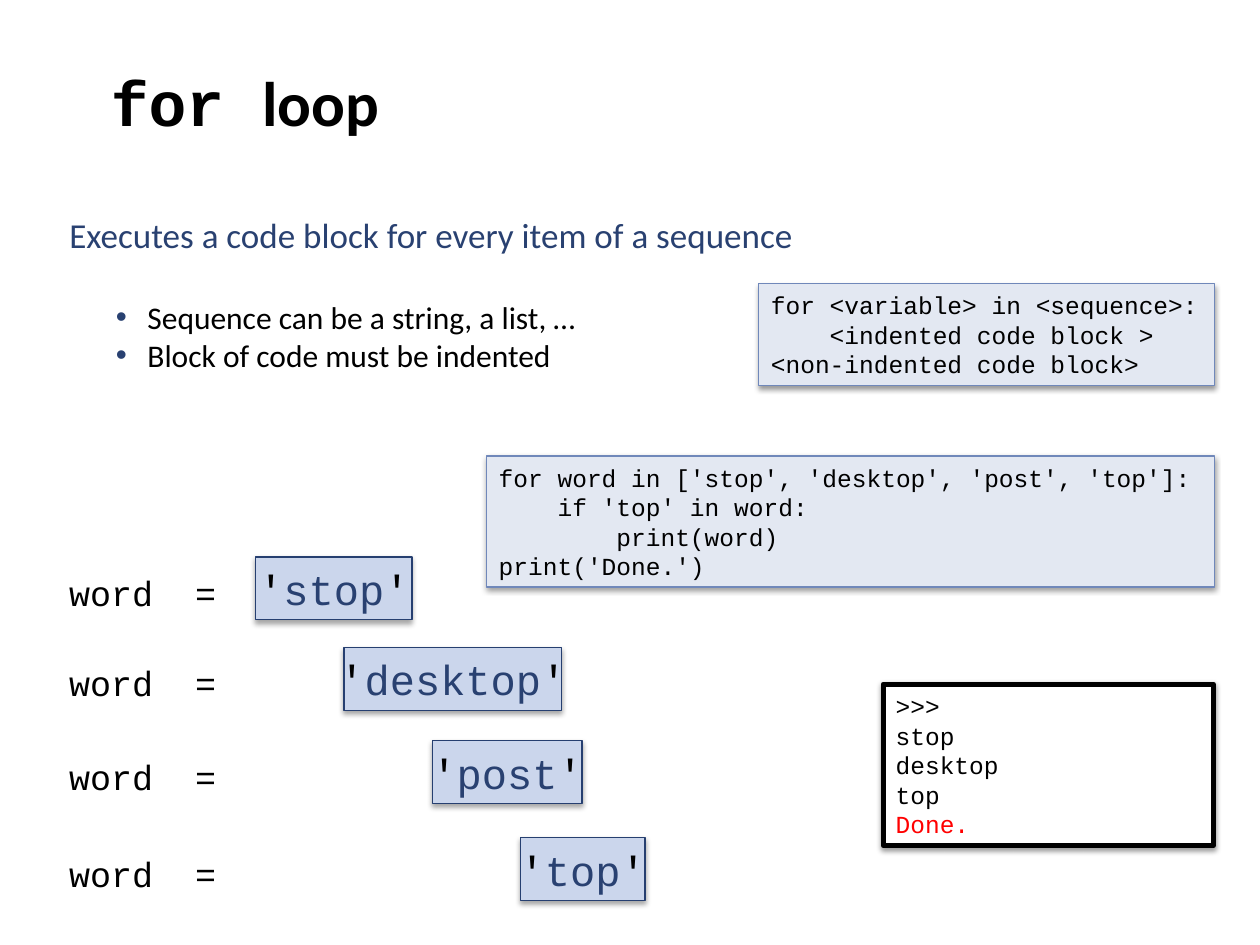
from lxml.etree import SubElement
from pptx import Presentation
from pptx.dml.color import RGBColor
from pptx.enum.shapes import MSO_SHAPE
from pptx.enum.text import MSO_ANCHOR, MSO_AUTO_SIZE, PP_ALIGN
from pptx.oxml.ns import qn
from pptx.util import Inches, Pt

COLORS = {
    "black": "000000", "white": "FFFFFF", "red": "FF0000", "navy": "294171",
    "item_fill": "CBD6EC", "item_line": "263F70",
    "code_fill": "E3E8F2", "code_line": "7088BA",
}
CODE_FONT, TEXT_FONT = "Courier New", "Calibri"
FRAME = {"word_wrap": True, "auto_size": MSO_AUTO_SIZE.NONE,
         "vertical_anchor": MSO_ANCHOR.MIDDLE}
FLUSH = {"space_before": Pt(0), "space_after": Pt(0)}


def rgb(name):
    return RGBColor.from_string(COLORS[name])


def set_all(target, values):
    for name, value in values.items():
        setattr(target, name, value)


def place(part, box):
    set_all(part, dict(zip(("left", "top", "width", "height"), map(Inches, box))))


def write(paragraph, text, size, font=CODE_FONT, color="black", bold=False):
    run = paragraph.add_run()
    run.text = text
    set_all(run.font, {"size": Pt(size), "name": font, "bold": bold})
    run.font.color.rgb = rgb(color)


def add_lines(frame, lines, size):
    """Write one paragraph per line; a line is a list of (text, colour)."""
    for i, line in enumerate(lines):
        paragraph = frame.add_paragraph() if i else frame.paragraphs[0]
        paragraph.alignment = PP_ALIGN.LEFT
        for text, color in line:
            write(paragraph, text, size, color=color)


def add_shadow(shape, opacity, distance):
    shape.shadow.inherit = False
    effects = shape.element.spPr.find(qn("a:effectLst"))
    shadow = SubElement(effects, qn("a:outerShdw"), blurRad=str(Pt(3.1)),
                        dist=str(Pt(distance)), dir="5400000", rotWithShape="0")
    shade = SubElement(shadow, qn("a:srgbClr"), val=COLORS["black"])
    SubElement(shade, qn("a:alpha"), val=str(opacity * 1000))


def add_panel(slide, box, lines, fill, line, line_width=0.75, size=14,
              wrap=True, shadow=(38, 1.6)):
    panel = slide.shapes.add_shape(MSO_SHAPE.RECTANGLE, *map(Inches, box))
    panel.fill.solid()
    panel.fill.fore_color.rgb = rgb(fill)
    panel.line.color.rgb = rgb(line)
    panel.line.width = Pt(line_width)
    add_shadow(panel, *shadow)
    set_all(panel.text_frame, {**FRAME, "word_wrap": wrap})
    add_lines(panel.text_frame, lines, size)
    return panel


def add_code(slide, box, code, wrap=True):
    lines = [[(line, "black")] for line in code]
    add_panel(slide, box, lines, "code_fill", "code_line", wrap=wrap)


def add_title(slide, box):
    title = slide.shapes.title
    place(title, box)
    set_all(title.text_frame, FRAME)
    heading = title.text_frame.paragraphs[0]
    heading.alignment = PP_ALIGN.LEFT
    write(heading, "for ", 36, bold=True)
    write(heading, "loop", 36, TEXT_FONT, bold=True)


def set_bullet(paragraph, margin=0, indent=0, char=None):
    props = paragraph._p.get_or_add_pPr()
    props.set("marL", str(Inches(margin)))
    props.set("indent", str(Inches(indent)))
    if char:
        tint = SubElement(props, qn("a:buClr"))
        SubElement(tint, qn("a:srgbClr"), val=COLORS["navy"])
        SubElement(props, qn("a:buFont"), typeface="Arial")
        SubElement(props, qn("a:buChar"), char=char)
    else:
        SubElement(props, qn("a:buNone"))


def add_summary(slide, box, lead, points):
    body = slide.placeholders[1]
    place(body, box)
    set_all(body.text_frame, FRAME)
    intro = body.text_frame.paragraphs[0]
    set_all(intro, FLUSH)
    set_bullet(intro)
    write(intro, lead, 20, TEXT_FONT, "navy")
    for i, text in enumerate(points):
        point = body.text_frame.add_paragraph()
        set_all(point, {**FLUSH, "level": 1, "space_before": Pt(0 if i else 24.4)})
        set_bullet(point, 0.62, -0.25, "•")
        write(point, text, 18, TEXT_FONT)


def add_step(slide, box, word, item_left, item_width):
    """One pass of the loop: the variable on the left, its value in a box."""
    left, top, width, height = box
    variable = slide.shapes.add_textbox(
        *map(Inches, (left, top + 0.06, width, height - 0.06)))
    set_all(variable.text_frame, {**FRAME, "word_wrap": False})
    add_lines(variable.text_frame, [[("word  =", "black")]], 20)
    quoted = [("'", "black"), (word, "navy"), ("'", "black")]
    item = add_panel(slide, (item_left, top, item_width, height), [quoted],
                     "item_fill", "item_line", size=24, wrap=False, shadow=(35, 1.8))
    item.text_frame.paragraphs[0].alignment = PP_ALIGN.CENTER


def add_console(slide, box, output, last):
    lines = [[(line, "black")] for line in output] + [[(last, "red")]]
    add_panel(slide, box, lines, "white", "black", line_width=3)


prs = Presentation()
prs.slide_width, prs.slide_height = Inches(10), Inches(7.5)
slide = prs.slides.add_slide(prs.slide_layouts[1])

add_title(slide, (0.78, 0, 8.5, 1.61))
add_summary(slide, (0.45, 1.64, 5.97, 1.38),
            "Executes a code block for every item of a sequence",
            ["Sequence can be a string, a list, …", "Block of code must be indented"])

# Syntax and example
add_code(slide, (6.02, 2.25, 3.62, 0.81),
         ["for <variable> in <sequence>:",
          "    <indented code block >",
          "<non-indented code block>"], wrap=False)
add_code(slide, (3.86, 3.62, 5.78, 1.04),
         ["for word in ['stop', 'desktop', 'post', 'top']:",
          "    if 'top' in word:",
          "        print(word)",
          "print('Done.')"])

# Value of the variable in each pass
passes = [("stop", 4.42, 1.24), ("desktop", 5.14, 1.73),
          ("post", 5.88, 1.19), ("top", 6.65, 0.99)]
for i, (word, top, item_width) in enumerate(passes):
    add_step(slide, (0.45, top, 1.38, 0.5), word, 2.03 + 0.7 * i, item_width)

# Printed result
add_console(slide, (7.01, 5.43, 2.62, 1.28),
            [">>> ", "stop", "desktop", "top"], "Done.")

prs.save("out.pptx")
